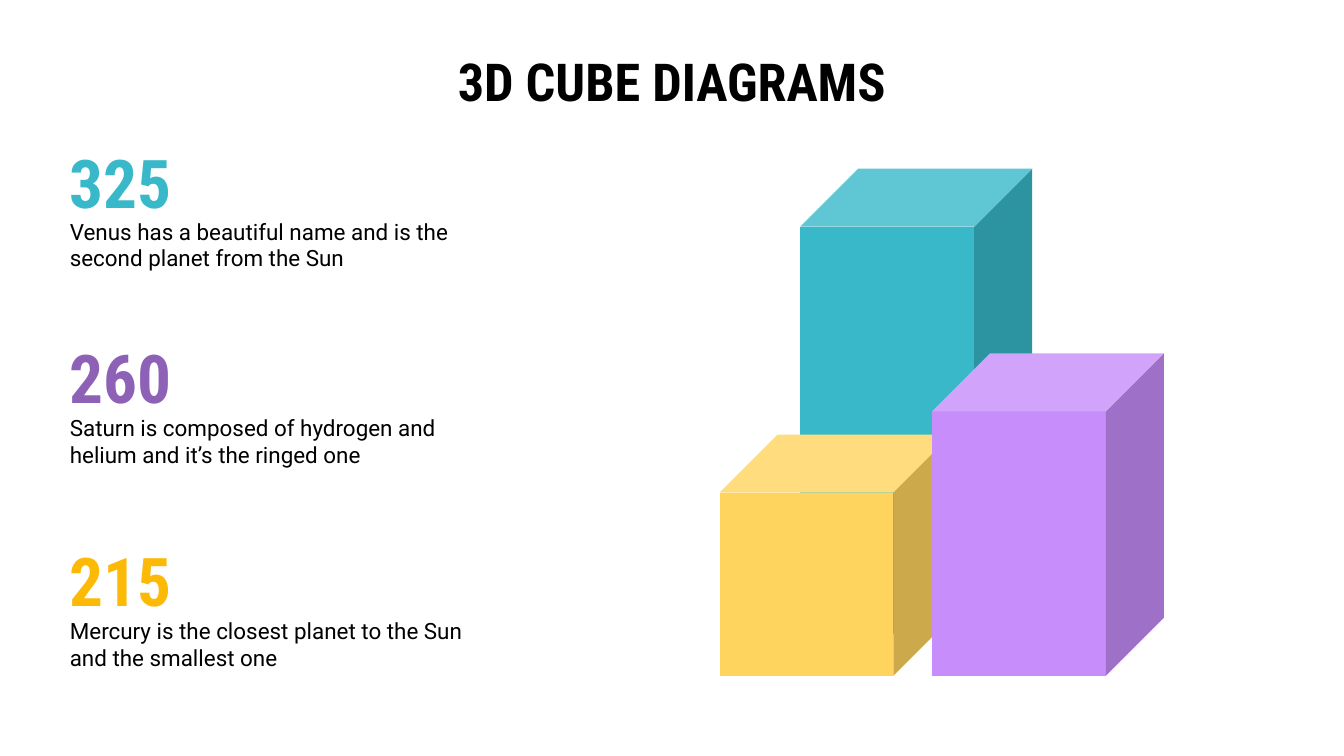
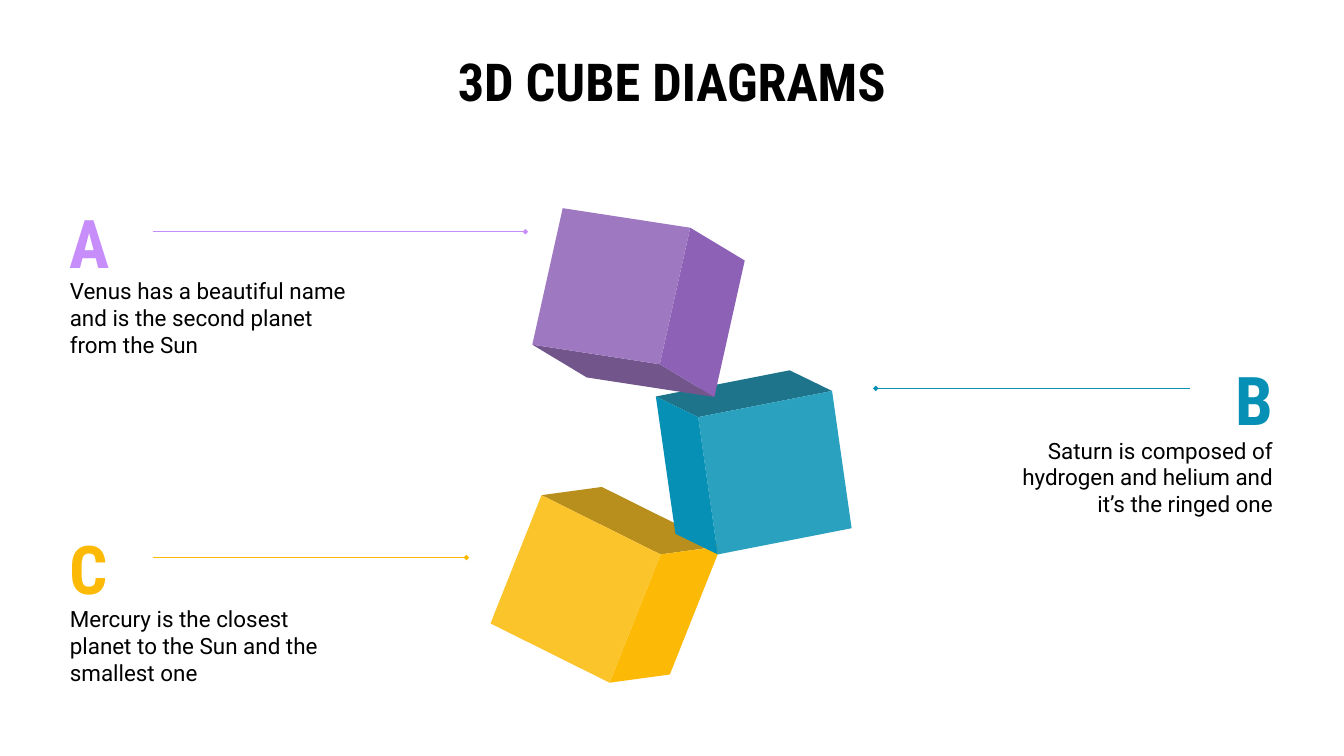
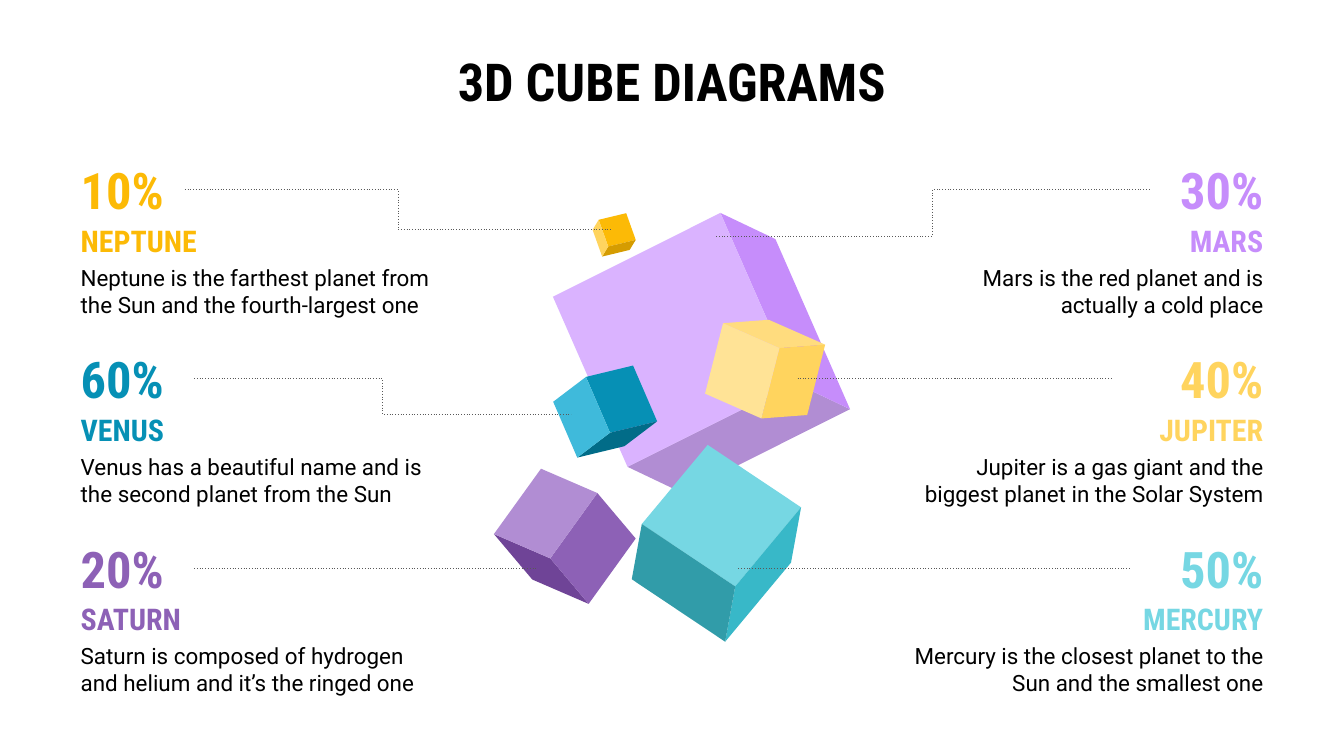
from dataclasses import dataclass
from typing import Optional

from lxml import etree
from pptx import Presentation
from pptx.dml.color import RGBColor
from pptx.enum.shapes import MSO_CONNECTOR, MSO_SHAPE
from pptx.enum.text import MSO_ANCHOR, MSO_AUTO_SIZE, PP_ALIGN
from pptx.oxml.ns import qn
from pptx.util import Cm, Pt

LEFT, CENTER, RIGHT = PP_ALIGN.LEFT, PP_ALIGN.CENTER, PP_ALIGN.RIGHT
TOP, MIDDLE = MSO_ANCHOR.TOP, MSO_ANCHOR.MIDDLE
STRAIGHT, ELBOW = MSO_CONNECTOR.STRAIGHT, MSO_CONNECTOR.ELBOW
CUBE = MSO_SHAPE.CUBE
NO_AUTOFIT = MSO_AUTO_SIZE.NONE

COLORS = {
    "black": "000000",
    "white": "FFFFFF",
    "shade": "434343",
    "grey": "595959",
    "teal": "38B8C8",
    "dark_teal": "319CA9",
    "aqua": "76D7E3",
    "blue": "0690B5",
    "dark_blue": "016C88",
    "light_blue": "3FBADB",
    "purple": "8D61B6",
    "dark_purple": "6F4497",
    "light_purple": "B18DD3",
    "violet": "C68DFB",
    "light_violet": "DAB3FF",
    "amber": "FCBA06",
    "dark_amber": "D59C01",
    "yellow": "FFD45E",
    "light_yellow": "FFDC7E",
    "pale_yellow": "FFE396",
}

TITLE = "3D CUBE DIAGRAMS"
SLIDE_WIDTH, SLIDE_HEIGHT = 50.8, 28.58
BOX_INSET = 0.51
TEXT_HEIGHT, HEADING_HEIGHT, PERCENT_HEIGHT = 3.18, 2.13, 3.02

# Callouts on the first two slides
CALLOUT_LEFT, CALLOUT_RIGHT = 2.13, 48.62
VALUE_WIDTH = 7.26
LINE_INDENT, LINE_DROP = 3.64, 2.11

# Planet grid on the third slide
GRID_LEFT, GRID_RIGHT = 2.54, 48.26
GRID_TOP, ROW_STEP = 5.66, 7.15
PLANET_WIDTH = 14.33
NAME_DROP, FACT_DROP = 2.05, 3.81

Point = tuple[float, float]


@dataclass(frozen=True)
class TextStyle:
    font: str
    size: int
    bold: bool = False
    line_spacing: Optional[float] = None
    anchor: MSO_ANCHOR = TOP


TITLE_STYLE = TextStyle("Roboto Condensed", 56, bold=True)
VALUE_STYLE = TextStyle("Roboto Condensed", 72, bold=True, line_spacing=1.15)
NAME_STYLE = TextStyle("Roboto Condensed", 32, bold=True, line_spacing=1.15)
PERCENT_STYLE = TextStyle("Roboto Condensed", 54, bold=True, anchor=MIDDLE)
BODY_STYLE = TextStyle("Roboto", 24)


@dataclass(frozen=True)
class Block:
    """An upright cube shape."""
    left: float
    top: float
    height: float
    color: str


@dataclass(frozen=True)
class TiltedCube:
    """Three faces around a corner; each face spans two neighbouring ends."""
    corner: Point
    ends: tuple[Point, Point, Point]
    face_colors: tuple[str, str, str]


@dataclass(frozen=True)
class Callout:
    value: str
    text: str
    color: str
    value_top: float
    text_top: float
    on_right: bool = False
    line_end: Optional[float] = None


@dataclass(frozen=True)
class Planet:
    percent: str
    name: str
    fact: str
    color: str
    percent_width: float
    line_end: float
    line_drop: float = 0


def blend(color: str, overlay: str, share: float) -> str:
    """Lay a see-through overlay on a colour and return the resulting hex."""
    pairs = zip(bytes.fromhex(color), bytes.fromhex(overlay))
    return "".join(f"{round(a + (b - a) * share):02X}" for a, b in pairs)


def lit(name: str) -> str:
    return blend(COLORS[name], COLORS["white"], 0.15)


def shaded(name: str) -> str:
    return blend(COLORS[name], COLORS["shade"], 0.37)


BLOCK_WIDTH = 8.76
BLOCKS = [
    Block(30.25, 6.38, 17.6, COLORS["teal"]),
    Block(27.2, 16.43, 9.12, COLORS["yellow"]),
    Block(35.23, 13.36, 12.19, COLORS["violet"]),
]

VENUS = "Venus has a beautiful name and is the second planet from the Sun"
SATURN = "Saturn is composed of hydrogen and helium and it’s the ringed one"
MERCURY = "Mercury is the closest planet to the Sun and the smallest one"

NUMBER_CALLOUTS = [
    Callout("325", VENUS, COLORS["teal"], 4.39, 7.72),
    Callout("260", SATURN, COLORS["purple"], 11.73, 15.16),
    Callout("215", MERCURY, COLORS["amber"], 19.41, 22.83),
]
LETTER_CALLOUTS = [
    Callout("A", VENUS, COLORS["violet"], 6.65, 9.98, line_end=19.86),
    Callout("B", SATURN, COLORS["blue"], 12.57, 16.0, on_right=True, line_end=33.1),
    Callout("C", MERCURY, COLORS["amber"], 18.97, 22.38, line_end=17.63),
]

STACKED_CUBES = [
    TiltedCube((24.97, 20.96), ((20.47, 18.72), (27.25, 20.65), (23.04, 25.81)),
               (shaded("amber"), COLORS["amber"], lit("amber"))),
    TiltedCube((26.39, 15.77), ((24.79, 14.99), (31.45, 14.78), (27.13, 20.96)),
               (shaded("blue"), lit("blue"), COLORS["blue"])),
    TiltedCube((24.94, 13.77), ((20.12, 13.03), (27.0, 15.01), (26.09, 8.61)),
               (shaded("purple"), COLORS["purple"], lit("purple"))),
]
FLOATING_CUBES = [
    TiltedCube((20.8, 21.11), ((18.67, 20.19), (22.25, 22.83), (22.58, 18.64)),
               (COLORS["dark_purple"], COLORS["purple"], COLORS["light_purple"])),
    TiltedCube((22.99, 9.32), ((22.63, 8.31), (24.03, 9.07), (22.76, 9.7)),
               (COLORS["amber"], COLORS["dark_amber"], COLORS["yellow"])),
    TiltedCube((30.05, 14.48), ((23.72, 17.65), (32.13, 15.47), (27.23, 8.05)),
               (COLORS["light_purple"], COLORS["violet"], COLORS["light_violet"])),
    TiltedCube((27.79, 22.17), ((24.26, 19.81), (30.28, 19.18), (27.41, 24.26)),
               (COLORS["aqua"], COLORS["teal"], COLORS["dark_teal"])),
    TiltedCube((29.46, 13.16), ((27.33, 12.22), (31.19, 13.03), (28.78, 15.82)),
               (COLORS["light_yellow"], COLORS["yellow"], COLORS["pale_yellow"])),
    TiltedCube((23.06, 16.36), ((22.15, 14.25), (24.84, 15.93), (21.82, 17.3)),
               (COLORS["blue"], COLORS["dark_blue"], COLORS["light_blue"])),
]

LEFT_PLANETS = [
    Planet("10%", "NEPTUNE",
           "Neptune is the farthest planet from the Sun and the fourth-largest one",
           COLORS["amber"], 4.45, 23.09, 1.5),
    Planet("60%", "VENUS", VENUS, COLORS["blue"], 4.8, 21.59, 1.35),
    Planet("20%", "SATURN", SATURN, COLORS["purple"], 4.8, 20.32),
]
RIGHT_PLANETS = [
    Planet("30%", "MARS", "Mars is the red planet and is actually a cold place",
           COLORS["violet"], 4.82, 27.03, 1.75),
    Planet("40%", "JUPITER",
           "Jupiter is a gas giant and the biggest planet in the Solar System",
           COLORS["yellow"], 6.25, 30.15),
    Planet("50%", "MERCURY", MERCURY, COLORS["aqua"], 5.56, 27.86),
]


def place(shape, left: float, top: float, width: float, height: float) -> None:
    shape.left, shape.top = Cm(left), Cm(top)
    shape.width, shape.height = Cm(width), Cm(height)


def write(shape, text: str, style: TextStyle, color: str, alignment: PP_ALIGN) -> None:
    frame = shape.text_frame
    frame.word_wrap = True
    frame.auto_size = NO_AUTOFIT
    frame.vertical_anchor = style.anchor
    frame.margin_left = frame.margin_right = Cm(BOX_INSET)
    frame.margin_top = frame.margin_bottom = Cm(BOX_INSET)
    frame.text = text
    paragraph = frame.paragraphs[0]
    paragraph.alignment = alignment
    paragraph.space_before = Pt(0)
    paragraph.line_spacing = style.line_spacing
    paragraph.font.name = style.font
    paragraph.font.size = Pt(style.size)
    paragraph.font.bold = style.bold
    paragraph.font.color.rgb = RGBColor.from_string(color)


def add_side_text(slide, text: str, style: TextStyle, color: str, edge: float,
                  top: float, width: float, height: float, on_right: bool) -> None:
    """Add a text box that touches the edge and is aligned to it."""
    left = edge - width if on_right else edge
    box = slide.shapes.add_textbox(Cm(left), Cm(top), Cm(width), Cm(height))
    write(box, text, style, color, RIGHT if on_right else LEFT)


def fill_plain(shape, color: str) -> None:
    shape.shadow.inherit = False
    shape.fill.solid()
    shape.fill.fore_color.rgb = RGBColor.from_string(color)
    shape.line.fill.background()


def add_line(slide, kind: MSO_CONNECTOR, start: Point, end: Point, color: str,
             detail: str, value: dict[str, str]) -> None:
    """Add a thin connector with one extra line property, such as a dash or an end."""
    connector = slide.shapes.add_connector(kind, *map(Cm, start + end))
    connector.line.width = Pt(0.75)
    connector.line.color.rgb = RGBColor.from_string(color)
    properties = connector._element.spPr
    etree.SubElement(properties.find(qn("a:ln")), qn(detail), value)
    etree.SubElement(properties, qn("a:effectLst"))


def add_block(slide, block: Block) -> None:
    shape = slide.shapes.add_shape(CUBE, Cm(block.left), Cm(block.top),
                                   Cm(BLOCK_WIDTH), Cm(block.height))
    shape.adjustments[0] = 0.25
    fill_plain(shape, block.color)


def add_tilted_cube(slide, cube: TiltedCube) -> None:
    next_ends = cube.ends[1:] + cube.ends[:1]
    for first, second, color in zip(cube.ends, next_ends, cube.face_colors):
        opposite = tuple(a + b - c for a, b, c in zip(first, second, cube.corner))
        start, *others = [(Cm(x), Cm(y)) for x, y in (cube.corner, first, opposite, second)]
        outline = slide.shapes.build_freeform(*start)
        outline.add_line_segments(others, close=True)
        fill_plain(outline.convert_to_shape(), color)


def add_callout(slide, callout: Callout, text_width: float) -> None:
    edge = CALLOUT_RIGHT if callout.on_right else CALLOUT_LEFT
    add_side_text(slide, callout.value, VALUE_STYLE, callout.color, edge,
                  callout.value_top, VALUE_WIDTH, HEADING_HEIGHT, callout.on_right)
    add_side_text(slide, callout.text, BODY_STYLE, COLORS["black"], edge,
                  callout.text_top, text_width, TEXT_HEIGHT, callout.on_right)
    if callout.line_end is not None:
        start = edge - LINE_INDENT if callout.on_right else edge + LINE_INDENT
        y = callout.value_top + LINE_DROP
        add_line(slide, STRAIGHT, (start, y), (callout.line_end, y), callout.color,
                 "a:tailEnd", {"type": "diamond"})


def add_planet(slide, planet: Planet, row: int, on_right: bool) -> None:
    edge = GRID_RIGHT if on_right else GRID_LEFT
    top = GRID_TOP + row * ROW_STEP
    add_side_text(slide, planet.percent, PERCENT_STYLE, planet.color, edge,
                  top, planet.percent_width, PERCENT_HEIGHT, on_right)
    add_side_text(slide, planet.name, NAME_STYLE, planet.color, edge,
                  top + NAME_DROP, PLANET_WIDTH, HEADING_HEIGHT, on_right)
    add_side_text(slide, planet.fact, BODY_STYLE, COLORS["black"], edge,
                  top + FACT_DROP, PLANET_WIDTH, TEXT_HEIGHT, on_right)
    start = edge - planet.percent_width if on_right else edge + planet.percent_width
    y = top + PERCENT_HEIGHT / 2
    add_line(slide, ELBOW, (start, y), (planet.line_end, y + planet.line_drop),
             COLORS["grey"], "a:prstDash", {"val": "dot"})


def add_titled_slide(presentation):
    slide = presentation.slides.add_slide(presentation.slide_layouts[5])
    title = slide.shapes.title
    place(title, 2.54, 1.35, 45.72, 3.18)
    write(title, TITLE, TITLE_STYLE, COLORS["black"], CENTER)
    return slide


def build_blocks_slide(presentation) -> None:
    slide = add_titled_slide(presentation)
    for block in BLOCKS:
        add_block(slide, block)
    for callout in NUMBER_CALLOUTS:
        add_callout(slide, callout, text_width=15.95)


def build_stack_slide(presentation) -> None:
    slide = add_titled_slide(presentation)
    for cube in STACKED_CUBES:
        add_tilted_cube(slide, cube)
    for callout in LETTER_CALLOUTS:
        add_callout(slide, callout, text_width=11.71)


def build_planets_slide(presentation) -> None:
    slide = add_titled_slide(presentation)
    for cube in FLOATING_CUBES:
        add_tilted_cube(slide, cube)
    for planets, on_right in ((LEFT_PLANETS, False), (RIGHT_PLANETS, True)):
        for row, planet in enumerate(planets):
            add_planet(slide, planet, row, on_right)


def main() -> None:
    presentation = Presentation()
    presentation.slide_width = Cm(SLIDE_WIDTH)
    presentation.slide_height = Cm(SLIDE_HEIGHT)
    build_blocks_slide(presentation)
    build_stack_slide(presentation)
    build_planets_slide(presentation)
    presentation.save("out.pptx")


if __name__ == "__main__":
    main()
